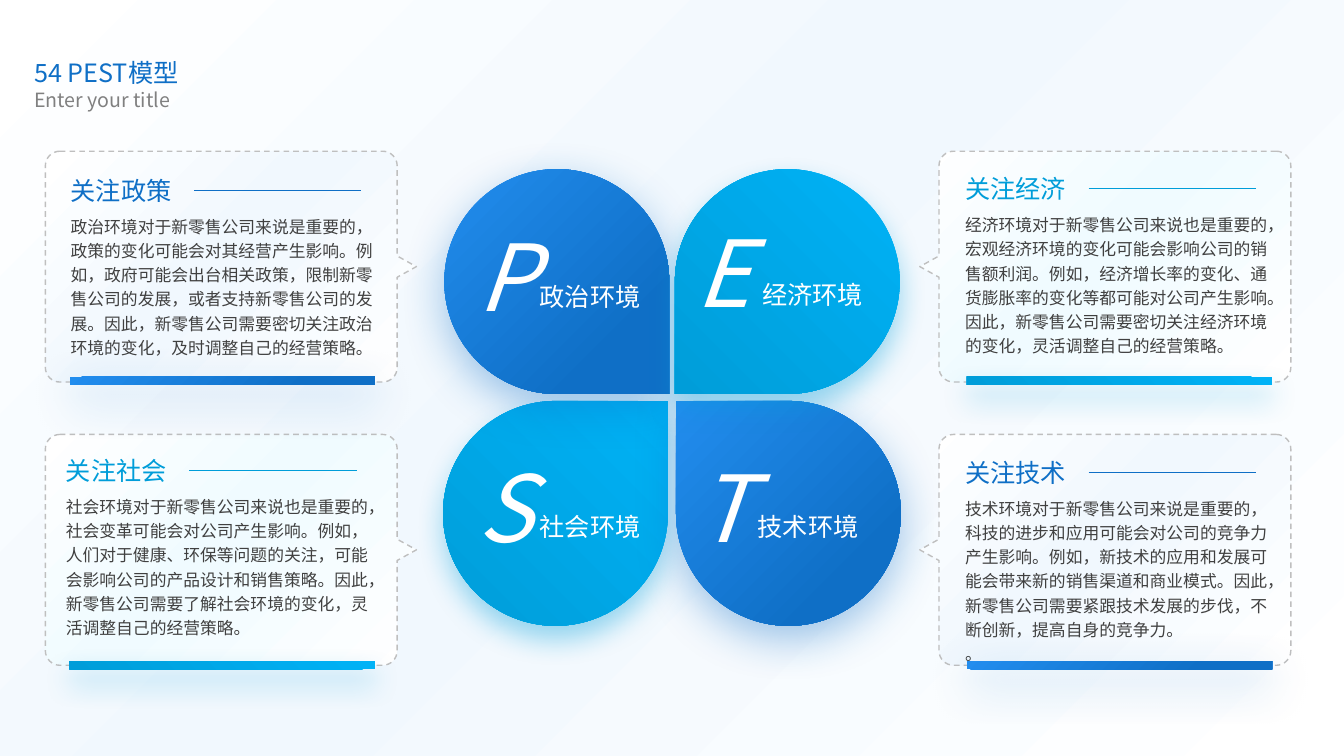
from lxml import etree
from pptx import Presentation
from pptx.dml.color import RGBColor as RGB
from pptx.enum.dml import MSO_LINE as Dash
from pptx.enum.shapes import MSO_CONNECTOR as Link, MSO_SHAPE as Preset
from pptx.enum.text import MSO_AUTO_SIZE as Fit
from pptx.oxml import parse_xml
from pptx.oxml.ns import nsdecls, qn
from pptx.util import Pt

COLORS = {
    "white": "FFFFFF", "blue": "0F6FC6", "blue_light": "228DEE", "cyan": "009DD9",
    "cyan_light": "00B2F6", "blue_mist": "F1F8FE", "cyan_mist": "F0FBFF",
    "blue_tint": "91C6F7", "cyan_tint": "8ADFFF", "body": "404040",
    "subtitle": "808080", "dash": "BFBFBF",
}
GRADIENTS = {
    "blue": ([(23, "blue"), (100, "blue_light")], (100, 100, 0, 0)),
    "cyan": ([(0, "cyan"), (100, "cyan_light")], (0, 100, 100, 0)),
    "blue_mist": ([(0, "white"), (46, "blue_mist"), (100, "white")], (0, 0, 100, 100)),
    "cyan_mist": ([(0, "white"), (46, "cyan_mist"), (100, "white")], (0, 0, 100, 100)),
}
GLOWS = {"blue": 32.4, "cyan": 20}


class Canvas:
    font = "Noto Sans CJK SC"

    def __init__(self, slide):
        self.shapes = slide.shapes

    def paint(self, shape, gradient, glow=False):
        stops, focus = GRADIENTS[gradient]
        stop_xml = "".join(
            f'<a:gs pos="{at * 1000}"><a:srgbClr val="{COLORS[name]}"/></a:gs>'
            for at, name in stops)
        edges = " ".join(f'{side}="{part * 1000}"' for side, part in zip("ltrb", focus))
        shape.shadow.inherit = False
        shape.fill.background()
        props = shape.element.spPr
        empty = props.find(qn("a:noFill"))
        props.replace(empty, parse_xml(
            f'<a:gradFill {nsdecls("a")} rotWithShape="0"><a:gsLst>{stop_xml}</a:gsLst>'
            f'<a:path path="circle"><a:fillToRect {edges}/></a:path></a:gradFill>'))
        if glow:
            props.find(qn("a:effectLst")).append(parse_xml(
                f'<a:outerShdw {nsdecls("a")} blurRad="{Pt(GLOWS[gradient])}" '
                f'dist="{Pt(9.7)}" dir="5400000" algn="t">'
                f'<a:srgbClr val="{COLORS[gradient]}"><a:alpha val="40000"/></a:srgbClr>'
                '</a:outerShdw>'))

    def block(self, preset, box, gradient, glow=False, rotation=0, flipped=False):
        shape = self.shapes.add_shape(preset, *map(Pt, box))
        shape.rotation = rotation
        if flipped:
            shape.element.spPr.find(qn("a:xfrm")).set("flipH", "1")
        self.paint(shape, gradient, glow)
        shape.line.fill.background()

    def bubble(self, top, gradient, mirrored):
        left, right, tip, height, radius = 32.4, 283.7, 297.4, 164.9, 10.4
        bottom, middle = top + height, top + height / 2
        outline = [
            (left + radius, top), (right - radius, top), (right, top + radius),
            (right, middle - 7.6), (tip, middle), (right, middle + 7.6),
            (right, bottom - radius), (right - radius, bottom),
            (left + radius, bottom), (left, bottom - radius),
            (left, top + radius), (left + radius, top)]
        corners = {2: (right, top), 7: (right, bottom), 9: (left, bottom), 11: (left, top)}
        if mirrored:
            outline = [(954.4 - x, y) for x, y in outline]
            corners = {index: (954.4 - x, y) for index, (x, y) in corners.items()}
        points = [(Pt(x), Pt(y)) for x, y in outline]
        builder = self.shapes.build_freeform(*points[0])
        builder.add_line_segments(points[1:], close=True)
        shape = builder.convert_to_shape()
        segments = list(shape.element.iter(qn("a:lnTo")))
        for index, (x, y) in corners.items():
            curve = etree.Element(qn("a:cubicBezTo"))
            ends = points[index - 1], points[index]
            handles = [(px + 0.55 * (Pt(x) - px), py + 0.55 * (Pt(y) - py)) for px, py in ends]
            for px, py in (*handles, points[index]):
                etree.SubElement(curve, qn("a:pt"), x=str(round(px - shape.left)),
                                 y=str(round(py - shape.top)))
            straight = segments[index - 1]
            straight.getparent().replace(straight, curve)
        self.paint(shape, gradient)
        shape.line.color.rgb = RGB.from_string(COLORS["dash"])
        for name, value in {"width": Pt(1), "dash_style": Dash.DASH}.items():
            setattr(shape.line, name, value)

    def text(self, box, paragraphs, size, color, wrap=True, spacing=None, italic=None, fade=None):
        frame = self.shapes.add_textbox(*map(Pt, box)).text_frame
        for name, value in {"word_wrap": wrap, "auto_size": Fit.SHAPE_TO_FIT_TEXT}.items():
            setattr(frame, name, value)
        for index, content in enumerate(paragraphs):
            paragraph = frame.add_paragraph() if index else frame.paragraphs[0]
            paragraph.line_spacing = spacing
            run = paragraph.add_run()
            run.text = content
            for name, value in {"size": Pt(size), "name": self.font, "italic": italic}.items():
                setattr(run.font, name, value)
            if fade:
                run.font.fill.gradient()
                run.font.fill.gradient_angle = 270
                for stop, tone, at in zip(run.font.fill.gradient_stops, (color, fade), (0, 1)):
                    stop.color.rgb = RGB.from_string(COLORS[tone])
                    stop.position = at
            else:
                run.font.color.rgb = RGB.from_string(COLORS[color])
            latin = run.font._element.find(qn("a:latin"))
            latin.addnext(etree.Element(qn("a:ea"), typeface=self.font))

    def rule(self, x, y, length, color):
        line = self.shapes.add_connector(Link.STRAIGHT, Pt(x), Pt(y), Pt(x + length), Pt(y))
        line.line.color.rgb = RGB.from_string(COLORS[color])
        line.line.width = Pt(0.5)
        etree.SubElement(line.element.spPr, qn("a:effectLst"))


PETALS = [
    ("S", "社会环境", "cyan", 0, False, (316.5, 286.4), (334.1, 317.8), (378.4, 362)),
    ("P", "政治环境", "blue", 90, False, (317.4, 120.8), (334.1, 153.1), (378.4, 197.2)),
    ("T", "技术环境", "blue", 0, True, (482.9, 286.4), (489.4, 317.8), (534.2, 362)),
    ("E", "经济环境", "cyan", 270, True, (482.1, 120.8), (489.4, 150.3), (537.4, 196.2)),
]
TOPICS = [
    ("关注政策", "blue", 0, 0, (43.4, 121.5), [
        "政治环境对于新零售公司来说是重要的，政策的变化可能会对其经营产生影响。例如，政府可能会出台相关政策，"
        "限制新零售公司的发展，或者支持新零售公司的发展。因此，新零售公司需要密切关注政治环境的变化，"
        "及时调整自己的经营策略。"]),
    ("关注社会", "cyan", 0, 1, (40, 321.6), [
        "社会环境对于新零售公司来说也是重要的，社会变革可能会对公司产生影响。例如，人们对于健康、环保等问题的关注，"
        "可能会影响公司的产品设计和销售策略。因此，新零售公司需要了解社会环境的变化，灵活调整自己的经营策略。"]),
    ("关注经济", "cyan", 1, 0, (682.3, 120.3), [
        "经济环境对于新零售公司来说也是重要的，宏观经济环境的变化可能会影响公司的销售额利润。例如，"
        "经济增长率的变化、通货膨胀率的变化等都可能对公司产生影响。因此，新零售公司需要密切关注经济环境的变化，"
        "灵活调整自己的经营策略。"]),
    ("关注技术", "blue", 1, 1, (682.3, 322.8), [
        "技术环境对于新零售公司来说是重要的，科技的进步和应用可能会对公司的竞争力产生影响。例如，"
        "新技术的应用和发展可能会带来新的销售渠道和商业模式。因此，新零售公司需要紧跟技术发展的步伐，"
        "不断创新，提高自身的竞争力。", "。"]),
]


def main():
    deck = Presentation()
    deck.slide_width, deck.slide_height = Pt(960), Pt(540)
    canvas = Canvas(deck.slides.add_slide(deck.slide_layouts[6]))

    canvas.block(Preset.RECTANGLE, (0, 0, 961, 540), "blue_mist")
    canvas.text((17.3, 37.4, 335.5, 28.8), ["54 PEST模型"], 18, "blue")
    canvas.text((17.3, 59, 206, 24.5), ["Enter your title"], 14, "subtitle")

    for letter, label, hue, turn, flipped, petal, letter_at, label_at in PETALS:
        canvas.block(Preset.TEAR, (*petal, 160.6, 160.6), hue, True, turn, flipped)
    for letter, label, hue, turn, flipped, petal, letter_at, label_at in PETALS:
        canvas.text((*letter_at, 38.9, 87.1), [letter], 66, "white", italic=True, fade=hue + "_tint")
        canvas.text((*label_at, 86.4, 28.8), [label], 18, "white", wrap=False)

    for heading, hue, column, row, corner, body in TOPICS:
        canvas.bubble(108 + 202.3 * row, hue + "_mist", bool(column))
    for heading, hue, column, row, (x, y), body in TOPICS:
        canvas.text((x, y + 26.9, 233.3, 110.9 + 17.3 * (len(body) - 1)), body, 12, "body", spacing=1.2)
        canvas.text((x, y, 86.4, 28.8), [heading], 18, hue, wrap=False)
        canvas.rule(x + 95.3, y + 14.3, 119.5, hue)
    for heading, hue, column, row, corner, body in TOPICS:
        bar = (49.7 + 640.9 * column, 269 + 203.2 * row, 218.2, 5.8)
        canvas.block(Preset.RECTANGLE, bar, hue, True)

    deck.save("out.pptx")


if __name__ == "__main__":
    main()
